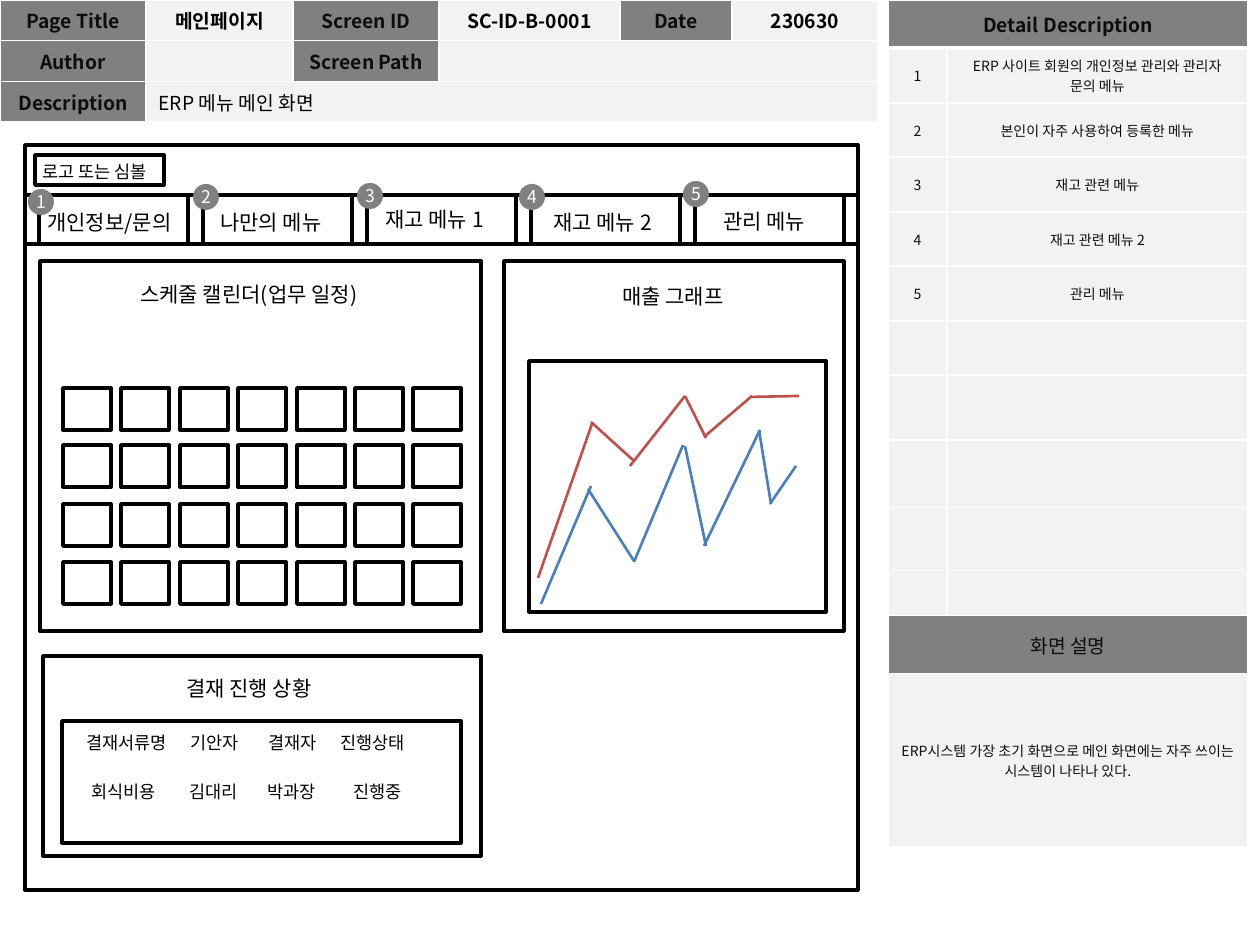
from lxml.etree import SubElement, Element
from pptx import Presentation
from pptx.dml.color import RGBColor
from pptx.enum.shapes import MSO_CONNECTOR, MSO_SHAPE
from pptx.enum.text import MSO_ANCHOR, MSO_AUTO_SIZE, PP_ALIGN
from pptx.oxml.ns import qn
from pptx.util import Emu, Pt

PX = 914400 // 126
FONT = "Noto Sans CJK KR"
COLORS = {
    "head": "808080", "cell": "F2F2F2", "ink": "0D0D0D", "black": "000000",
    "white": "FFFFFF", "blue": "4B7EBC", "red": "C0504D",
}


def px(*lengths):
    return [Emu(round(length * PX)) for length in lengths]


def rgb(name):
    return RGBColor.from_string(COLORS[name])


def style(paragraph, size, color="black", bold=False, align=PP_ALIGN.LEFT):
    paragraph.alignment = align
    font = paragraph.font
    font.size, font.bold, font.name = Pt(size), bold, FONT
    font.color.rgb = rgb(color)
    defaults = paragraph._p.pPr.find(qn("a:defRPr"))
    SubElement(defaults, qn("a:ea"), typeface=FONT)
    if not paragraph.runs:
        SubElement(paragraph._p, qn("a:endParaRPr"), sz=str(size * 100))


def add_box(slide, x, y, w, h, kind=MSO_SHAPE.RECTANGLE, fill=None):
    box = slide.shapes.add_shape(kind, *px(x, y, w, h))
    box.shadow.inherit = False
    if fill:
        box.fill.solid()
        box.fill.fore_color.rgb = rgb(fill)
        box.line.fill.background()
    else:
        box.fill.background()
        box.line.color.rgb = rgb("black")
        box.line.width = Pt(2)


def add_label(slide, words, x, y, w, h=38, size=12, color="black", tabs=()):
    label = slide.shapes.add_textbox(*px(x, y, w, h))
    frame = label.text_frame
    frame.word_wrap = bool(tabs)
    frame.auto_size = MSO_AUTO_SIZE.SHAPE_TO_FIT_TEXT
    paragraph = frame.paragraphs[0]
    paragraph.text = words
    style(paragraph, size, color)
    if tabs:
        stops = Element(qn("a:tabLst"))
        for stop in px(*tabs):
            SubElement(stops, qn("a:tab"), pos=str(int(stop)), algn="l")
        paragraph._p.pPr.insert(0, stops)


def add_segment(slide, color, x1, y1, x2, y2):
    segment = slide.shapes.add_connector(MSO_CONNECTOR.STRAIGHT, *px(x1, y1, x2, y2))
    segment.line.color.rgb = rgb(color)
    segment.line.width = Pt(1.5)
    SubElement(segment._element.spPr, qn("a:effectLst"))


def add_grid(slide, x, y, columns, rows):
    frame = slide.shapes.add_table(len(rows), len(columns),
                                   *px(x, y, sum(columns), sum(rows)))
    grid = frame.table
    grid.first_row = grid.horz_banding = False
    for column, width in zip(grid.columns, px(*columns)):
        column.width = width
    for row, height in zip(grid.rows, px(*rows)):
        row.height = height
    return grid


def fill_cell(cell, words="", fill="cell", size=11, bold=False,
              align=PP_ALIGN.CENTER, sides="LRTB", bottom=1, color="ink"):
    cell.text = words
    cell.vertical_anchor = MSO_ANCHOR.MIDDLE
    style(cell.text_frame.paragraphs[0], size, color, bold, align)
    properties = cell._tc.get_or_add_tcPr()
    for side in sides:
        width = Pt(bottom if side == "B" else 1)
        border = SubElement(properties, qn(f"a:ln{side}"), w=str(int(width)))
        paint = SubElement(border, qn("a:solidFill"))
        SubElement(paint, qn("a:srgbClr"), val=COLORS["white"])
    cell.fill.solid()
    cell.fill.fore_color.rgb = rgb(fill)


def add_page_info(slide):
    info = add_grid(slide, 0, 0, [146, 147, 146, 181, 112, 146], [40, 41, 40])
    info.cell(1, 3).merge(info.cell(1, 5))
    info.cell(2, 1).merge(info.cell(2, 5))
    rows = [
        ["Page Title", "메인페이지", "Screen ID", "SC-ID-B-0001", "Date", "230630"],
        ["Author", "", "Screen Path", "", "", ""],
        ["Description", "ERP 메뉴 메인 화면", "", "", "", ""],
    ]
    headings = {"Page Title", "Screen ID", "Date", "Author", "Screen Path", "Description"}
    for r, row in enumerate(rows):
        for c, words in enumerate(row):
            summary = r == 2 and c == 1
            fill_cell(info.cell(r, c), words, "head" if words in headings else "cell",
                      bold=not summary,
                      align=PP_ALIGN.LEFT if summary else PP_ALIGN.CENTER,
                      sides="LRTB" if r else "B",
                      color="ink" if words in headings else "black")


def add_details(slide):
    heights = [48, 55, 54, 55, 54, 55, 54, 65, 68, 63, 45, 58, 173]
    details = add_grid(slide, 888, 0, [59, 301], heights)
    items = ["ERP 사이트 회원의 개인정보 관리와 관리자 문의 메뉴",
             "본인이 자주 사용하여 등록한 메뉴", "재고 관련 메뉴",
             "재고 관련 메뉴 2", "관리 메뉴"]
    for r in range(1, 11):
        number, item = (str(r), items[r - 1]) if r <= len(items) else ("", "")
        fill_cell(details.cell(r, 0), number, size=8)
        fill_cell(details.cell(r, 1), item, size=8)
    for r in (0, 11, 12):
        details.cell(r, 0).merge(details.cell(r, 1))
    for c, (title, heading, summary) in enumerate([
            ("Detail Description", "화면 설명",
             "ERP시스템 가장 초기 화면으로 메인 화면에는 자주 쓰이는 시스템이 나타나 있다."),
            ("", "", "")]):
        fill_cell(details.cell(0, c), title, "head", bold=True, bottom=3)
        fill_cell(details.cell(11, c), heading, "head")
        fill_cell(details.cell(12, c), summary, size=8)


def add_menu(slide):
    add_box(slide, 25, 145, 833, 745)
    add_box(slide, 35, 155, 129, 30)
    add_label(slide, "로고 또는 심볼", 30, 155, 144, 34, 10)
    add_box(slide, 25, 195, 833, 49)
    for i in range(5):
        add_box(slide, 39 + 164 * i, 195, 149, 49)
    for words, x, y, w in [("개인정보/문의", 35, 203, 161), ("나만의 메뉴", 208, 203, 139),
                           ("재고 메뉴 1", 373, 200, 137), ("재고 메뉴 2", 541, 203, 137),
                           ("관리 메뉴", 711, 202, 117)]:
        add_label(slide, words, x, y, w)


def add_calendar(slide):
    add_box(slide, 40, 261, 441, 370)
    for y in (388, 445, 504, 562):
        for day in range(7):
            add_box(slide, round(63 + 58.4 * day), y, 48, 42)
    add_label(slide, "스케줄 캘린더(업무 일정)", 128, 275, 266)


def add_sales(slide):
    add_box(slide, 504, 261, 340, 370)
    add_label(slide, "매출 그래프", 610, 277, 139)
    add_box(slide, 529, 361, 297, 251)
    trends = {
        "blue": [(541, 604, 591, 486), (634, 562, 683, 445), (704, 546, 760, 430),
                 (770, 504, 796, 466), (634, 561, 588, 489), (706, 546, 685, 446),
                 (771, 504, 759, 430)],
        "red": [(538, 578, 592, 424), (591, 422, 634, 461), (630, 466, 685, 396),
                (704, 437, 752, 396), (706, 438, 685, 396), (750, 397, 799, 396)],
    }
    for color, segments in trends.items():
        for ends in segments:
            add_segment(slide, color, *ends)


def add_approvals(slide):
    add_box(slide, 43, 656, 438, 200)
    add_label(slide, "결재 진행 상황", 174, 669, 168)
    add_box(slide, 62, 721, 399, 122)
    add_label(slide, "결재서류명\t기안자\t결재자\t진행상태", 74, 726, 389, 34, 10,
              tabs=(104, 182, 254))
    add_label(slide, "회식비용\t김대리\t박과장\t진행중", 79, 775, 386, 34, 10,
              tabs=(98, 176, 262))


def add_badges(slide):
    spots = [(28, 189), (193, 184), (357, 183), (519, 184), (683, 181)]
    for number, (x, y) in enumerate(spots, 1):
        add_box(slide, x, y, 26, 26, MSO_SHAPE.OVAL, "head")
        add_label(slide, str(number), x - 4, y - 4, 35, 34, 10, "white")


def main():
    deck = Presentation()
    deck.slide_width, deck.slide_height = px(1260, 945)
    slide = deck.slides.add_slide(deck.slide_layouts[6])
    # Header and description tables
    add_page_info(slide)
    add_details(slide)
    # Screen wireframe
    add_menu(slide)
    add_calendar(slide)
    add_sales(slide)
    add_approvals(slide)
    # Numbered callouts
    add_badges(slide)
    deck.save("out.pptx")


main()
